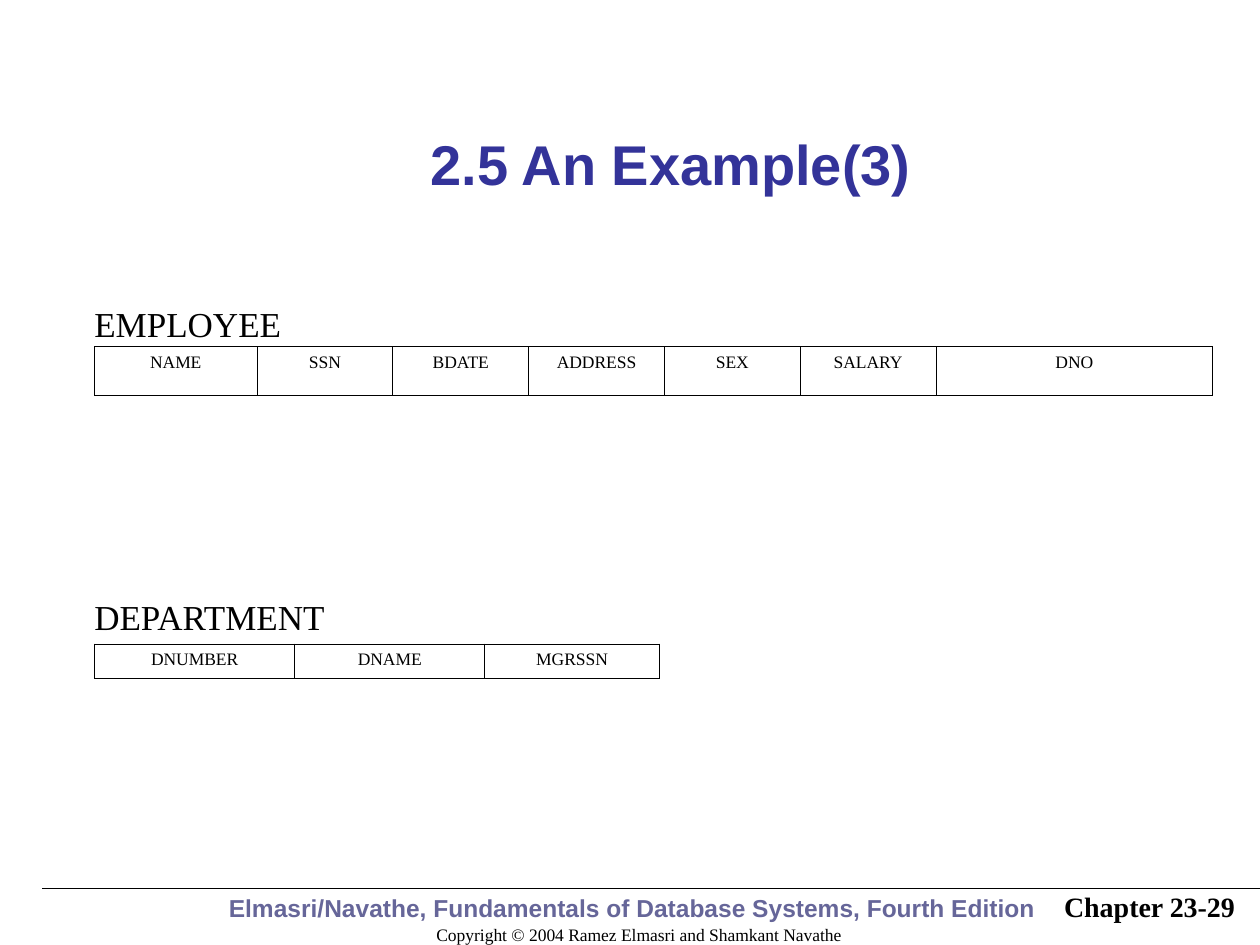
from lxml import etree
from pptx import Presentation
from pptx.dml.color import RGBColor
from pptx.enum.shapes import MSO_CONNECTOR
from pptx.enum.text import MSO_ANCHOR, PP_ALIGN
from pptx.oxml.ns import qn
from pptx.util import Pt

LEFT, MID, RIGHT = PP_ALIGN.LEFT, PP_ALIGN.CENTER, PP_ALIGN.RIGHT
TOP, CENTER, BOTTOM = MSO_ANCHOR.TOP, MSO_ANCHOR.MIDDLE, MSO_ANCHOR.BOTTOM
STRAIGHT = MSO_CONNECTOR.STRAIGHT
BLACK = RGBColor(0, 0, 0)
NAVY = RGBColor(0x33, 0x33, 0x99)
SLATE = RGBColor(0x66, 0x66, 0x99)
SERIF, SANS = "Times New Roman", "Arial"

TEXTS = [
    ("Copyright © 2004 Ramez Elmasri and Shamkant Navathe",
     (205.2, 507.6, 319.7, 36), dict(size=10, align=MID, anchor=BOTTOM)),
    ("Elmasri/Navathe, Fundamentals of Database Systems, Fourth Edition ",
     (64.8, 494.6, 596.9, 36),
     dict(size=14, font=SANS, color=SLATE, bold=True, align=MID, anchor=BOTTOM)),
    ("Chapter 23-29", (563, 502.6, 149.8, 30.2),
     dict(size=16, bold=True, align=RIGHT, anchor=CENTER)),
    ("2.5 An Example(3)", (100.8, 48.2, 565.2, 90),
     dict(size=32, font=SANS, color=NAVY, bold=True, align=MID, anchor=CENTER)),
    ("EMPLOYEE", (46.8, 169.2, 645.8, 321.8), dict(size=20, before=5)),
    ("DEPARTMENT", (46.8, 337, 236.2, 31.7), dict(size=20, before=5)),
]
TABLES = [
    (198, 28, [("NAME", 92.9), ("SSN", 77.6), ("BDATE", 77.6), ("ADDRESS", 77.6),
               ("SEX", 77.6), ("SALARY", 77.6), ("DNO", 158.2)]),
    (368, 19.4, [("DNUMBER", 114.4), ("DNAME", 108.6), ("MGRSSN", 99.8)]),
]
TABLE_LEFT = 54
RULE = (721.4, 507.6, 23.8, 507.6)


def write(frame, text, size=10, font=SERIF, color=BLACK, bold=False,
          align=LEFT, anchor=TOP, before=0):
    frame.word_wrap = True
    frame.vertical_anchor = anchor
    para = frame.paragraphs[0]
    para.alignment = align
    para.space_before = Pt(before)
    run = para.add_run()
    run.text = text
    run.font.size = Pt(size)
    run.font.name = font
    run.font.bold = bold
    run.font.color.rgb = color


def border(cell):
    props = cell._tc.get_or_add_tcPr()
    for spot, side in enumerate(("lnL", "lnR", "lnT", "lnB")):
        line = etree.Element(qn("a:" + side), w=str(Pt(0.45)))
        fill = etree.SubElement(line, qn("a:solidFill"))
        etree.SubElement(fill, qn("a:srgbClr"), val=str(BLACK))
        props.insert(spot, line)


def add_grid(slide, top, height, fields):
    width = sum(size for _, size in fields)
    grid = slide.shapes.add_table(1, len(fields), Pt(TABLE_LEFT), Pt(top),
                                  Pt(width), Pt(height)).table
    grid.first_row = grid.horz_banding = False
    grid.rows[0].height = Pt(height)
    for col, (name, size) in enumerate(fields):
        grid.columns[col].width = Pt(size)
        cell = grid.cell(0, col)
        cell.fill.background()
        border(cell)
        write(cell.text_frame, name, align=MID, before=2.5)


def main():
    deck = Presentation()
    deck.slide_width, deck.slide_height = Pt(720), Pt(540)
    slide = deck.slides.add_slide(deck.slide_layouts[6])
    rule = slide.shapes.add_connector(STRAIGHT, *map(Pt, RULE))
    rule.line.color.rgb = BLACK
    rule.line.width = Pt(0.75)
    etree.SubElement(rule._element.spPr, qn("a:effectLst"))
    for text, place, style in TEXTS:
        box = slide.shapes.add_textbox(*map(Pt, place))
        write(box.text_frame, text, **style)
    for top, height, fields in TABLES:
        add_grid(slide, top, height, fields)
    deck.save("out.pptx")


if __name__ == "__main__":
    main()
